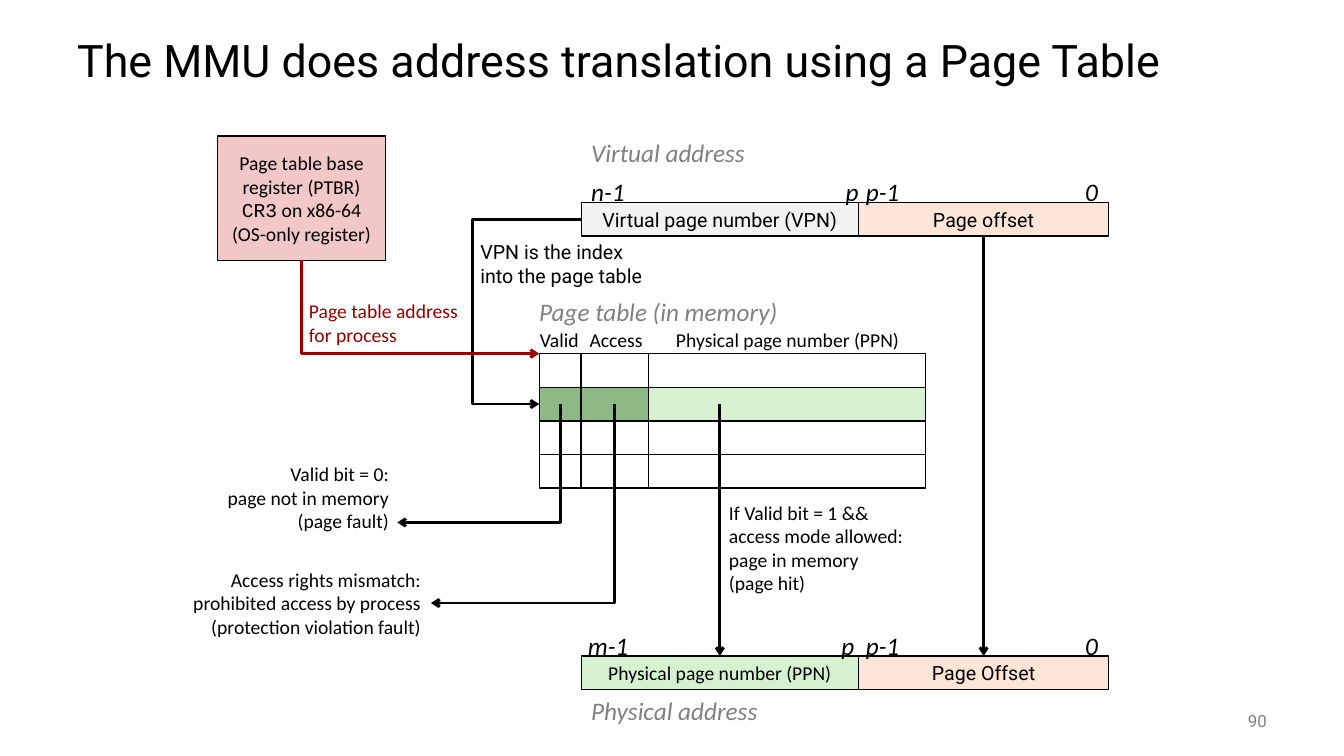
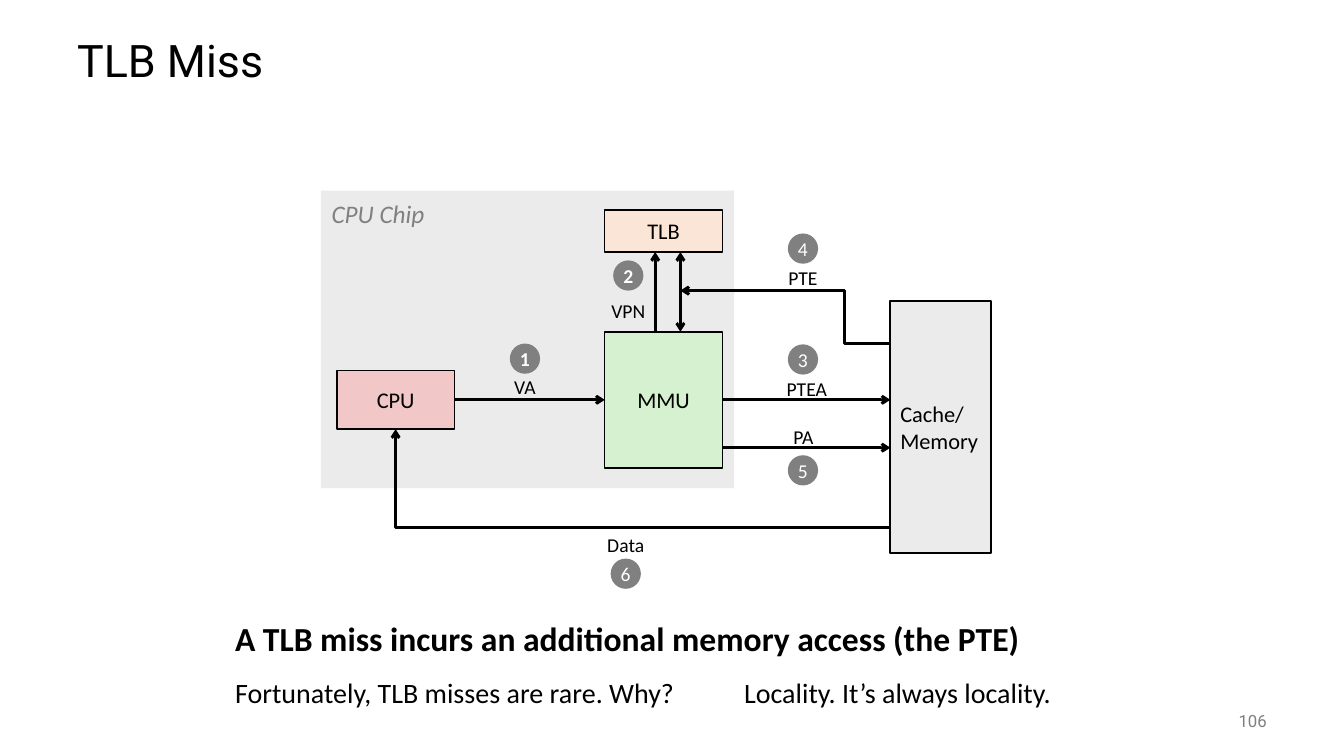
import pptx
import pptx.dml.color
import pptx.enum.shapes
import pptx.enum.text
import pptx.oxml.ns
import pptx.util

RGB = pptx.dml.color.RGBColor
BLACK = RGB(0x00, 0x00, 0x00)
WHITE = RGB(0xFF, 0xFF, 0xFF)
GRAY = RGB(0x80, 0x80, 0x80)
PALE = RGB(0xF2, 0xF2, 0xF2)
CHIP = RGB(0xEB, 0xEB, 0xEB)
PEACH = RGB(0xFB, 0xE5, 0xD6)
MINT = RGB(0xD5, 0xF1, 0xCF)
GREEN = RGB(0x8D, 0xBA, 0x84)
PINK = RGB(0xF1, 0xC7, 0xC7)
RED = RGB(0x99, 0x00, 0x00)

SANS, HEAD, CODE = "Calibri", "Roboto", "Courier New"
ALIGN = pptx.enum.text.PP_ALIGN
MID = pptx.enum.text.MSO_ANCHOR.MIDDLE
TOP = pptx.enum.text.MSO_ANCHOR.TOP
KIND = pptx.enum.shapes.MSO_SHAPE
WIRE = pptx.enum.shapes.MSO_CONNECTOR
# Sides of a rectangle, as connection sites
NORTH, WEST, SOUTH, EAST = range(4)

# The slide is a grid of 160 columns by 90 rows
COLS, ROWS = 160, 90


def grid(*counts):
    """Turn counts of grid cells into lengths."""
    return [pptx.util.Pt(6 * n) for n in counts]


def write(shape, text, size=14, font=SANS, color=BLACK, bold=False,
          italic=False, align=ALIGN.LEFT, anchor=TOP, wrap=False, space=None):
    """Fill a shape with lines; a line is a string or (text, font) pairs."""
    frame = shape.text_frame
    frame.word_wrap = wrap
    frame.vertical_anchor = anchor
    lines = text.split("\n") if isinstance(text, str) else text
    for i, line in enumerate(lines):
        para = frame.add_paragraph() if i else frame.paragraphs[0]
        para.alignment = align
        if space:
            para.line_spacing = space
        for part, face in [(line, font)] if isinstance(line, str) else line:
            run = para.add_run()
            run.text = part
            run.font.name = face
            run.font.size = pptx.util.Pt(size)
            run.font.bold = bold
            run.font.italic = italic
            run.font.color.rgb = color


def label(slide, at, text, **fmt):
    shape = slide.shapes.add_textbox(*grid(*at))
    write(shape, text, **fmt)
    if not fmt.get("wrap"):
        shape.text_frame.auto_size = pptx.enum.text.MSO_AUTO_SIZE.SHAPE_TO_FIT_TEXT
    return shape


def box(slide, at, fill=None, text=None, edge=1, kind=KIND.RECTANGLE, **fmt):
    shape = slide.shapes.add_shape(kind, *grid(*at))
    shape.shadow.inherit = False
    if fill is None:
        shape.fill.background()
    else:
        shape.fill.solid()
        shape.fill.fore_color.rgb = fill
    if edge:
        shape.line.color.rgb = BLACK
        shape.line.width = pptx.util.Pt(edge)
    else:
        shape.line.fill.background()
    if text:
        write(shape, text, **{"align": ALIGN.CENTER, "anchor": MID, **fmt})
    return shape


def wire(slide, start, end, kind=WIRE.STRAIGHT, color=BLACK, both=False,
         begin=None, stop=None):
    """Draw an arrow; begin and stop are (shape, side) to join."""
    line = slide.shapes.add_connector(kind, *grid(*start, *end))
    if begin:
        line.begin_connect(*begin)
    if stop:
        line.end_connect(*stop)
    line.line.color.rgb = color
    line.line.width = pptx.util.Pt(2)
    ln = line.get_or_add_ln()
    for tag in ["a:headEnd", "a:tailEnd"] if both else ["a:tailEnd"]:
        add(ln, tag, type="arrow")
    add(line._element.spPr, "a:effectLst")
    return line


def add(parent, tag, **attrs):
    node = pptx.oxml.parse_xml(
        f'<{tag} xmlns:a="http://schemas.openxmlformats.org/drawingml/2006/main"/>')
    for name, value in attrs.items():
        node.set(name, value)
    parent.append(node)


def bend(slide, start, end, turn=None, **fmt):
    """Go across, then up or down; turn is the share of the way of a double bend."""
    line = wire(slide, start, end, WIRE.ELBOW, **fmt)
    geom = line._element.spPr.find(pptx.oxml.ns.qn("a:prstGeom"))
    if turn is None:
        geom.set("prst", "bentConnector2")
    else:
        add(geom.find(pptx.oxml.ns.qn("a:avLst")), "a:gd", name="adj1",
            fmla=f"val {round(turn * 100000)}")
    return line


def drop(slide, start, end, **fmt):
    """Go down, then across: a bend that is turned on its side."""
    line = bend(slide, start, end, **fmt)
    (x1, y1), (x2, y2) = start, end
    wide, high = y2 - y1, abs(x2 - x1)
    line.left, line.top, line.width, line.height = grid(
        (x1 + x2 - wide) / 2, (y1 + y2 - high) / 2, wide, high)
    right = x2 > x1
    xfrm = line._element.spPr.find(pptx.oxml.ns.qn("a:xfrm"))
    xfrm.set("rot", str((270 if right else 90) * 60000))
    xfrm.set("flipH", "1" if right else "0")
    xfrm.set("flipV", "0")


def page(deck, title, number):
    slide = deck.slides.add_slide(deck.slide_layouts[6])
    label(slide, (8, 3, 144, 9), title, size=32, font=HEAD, anchor=MID,
          wrap=True, space=0.9)
    label(slide, (140, 83.4, 12, 4.8), number, size=12, font=HEAD, color=GRAY,
          align=ALIGN.RIGHT, anchor=MID, wrap=True)
    return slide


def note(slide, at, text):
    label(slide, at, text, size=18, color=GRAY, italic=True)


def table_page(deck):
    slide = page(deck, "The MMU does address translation using a Page Table", "90")
    left, mid, wide, rest, row = 69.2, 102.2, 33, 29.8, 4

    # Virtual and physical address bars
    vpn = box(slide, (left, 24.1, wide, row), PALE, "Virtual page number (VPN)", font=HEAD)
    off = box(slide, (mid, 24.1, rest, row), PEACH, "Page offset", font=HEAD)
    ppn = box(slide, (left, 78.1, wide, row), MINT, "Physical page number (PPN)")
    out = box(slide, (mid, 78.1, rest, row), PEACH, "Page Offset", font=HEAD)
    note(slide, (left, 15.8, 21.4, 4.8), "Virtual address")
    note(slide, (left, 82.2, 22.9, 4.8), "Physical address")
    for y, bits in [
        (20.4, [("n-1", left, 6.5), ("p", 99.5, 4.1)]),
        (74.5, [("m-1", 68.8, 7.3), ("p", 99, 4.1)]),
    ]:
        for text, x, w in bits + [("p-1", 101.9, 6.5), ("0", 128, 4)]:
            label(slide, (x, y, w, 4.8), text, size=18, italic=True)

    # Page table, with its second row in use
    note(slide, (63, 34.7, 36.6, 4.8), "Page table (in memory)")
    for text, x, w in [("Valid", 63.1, 7.3), ("Access", 69, 8.8),
                       ("Physical page number (PPN)", 79.3, 29.8)]:
        label(slide, (x, 38.5, w, 4.1), text)
    cells = {}
    for x, w, fill in [(left - 5, 5, GREEN), (left + 8, wide, MINT), (left, 8, GREEN)]:
        for i in range(4):
            cells[x, i] = box(slide, (x, 42.1 + i * row, w, row),
                              fill if i == 1 else None)

    # Base register
    base = box(slide, (25.9, 16.2, 20, 14.8), PINK,
               ["Page table base register (PTBR)",
                [("CR3", CODE), (" on x86-64", SANS)],
                "(OS-only register)"], wrap=True)

    # Texts beside the arrows
    label(slide, (35.6, 35, 20.8, 6.8), "Page table address\nfor process", color=RED)
    label(slide, (56, 28, 22.8, 6.8), "VPN is the index\ninto the page table", font=HEAD)
    label(slide, (85.6, 59, 23.3, 12.5),
          "If Valid bit = 1 &&\naccess mode allowed:\npage in memory\n(page hit)")
    label(slide, (25.4, 54.4, 22.1, 9.7),
          "Valid bit = 0:\npage not in memory\n(page fault)", align=ALIGN.RIGHT)
    deny = label(slide, (21, 67, 30.3, 9.7),
                 "Access rights mismatch:\nprohibited access by process\n"
                 "(protection violation fault)", align=ALIGN.RIGHT)

    # Arrows
    bend(slide, (left, 26.1), (left - 5, 48.1), turn=2.58,
         begin=(vpn, WEST), stop=(cells[left - 5, 1], WEST))
    wire(slide, (117.1, 28.1), (117.1, 78.1), begin=(off, SOUTH), stop=(out, NORTH))
    wire(slide, (85.7, 48.1), (85.7, 78.1), stop=(ppn, NORTH))
    drop(slide, (66.7, 48.1), (47.3, 62.2))
    drop(slide, (73.2, 48.1), (51.3, 71.8), stop=(deny, EAST))
    drop(slide, (35.9, 31), (left - 5, 42.1), color=RED, begin=(base, SOUTH))


def miss_page(deck):
    slide = page(deck, "TLB Miss", "106")

    # Chip and its parts
    box(slide, (38.2, 22.7, 49.2, 35.4), CHIP, edge=0)
    note(slide, (38.3, 23, 13.9, 4.8), "CPU Chip")
    mmu = box(slide, (72, 39.5, 14, 16.2), MINT, "MMU", size=16)
    cpu = box(slide, (40.1, 44.1, 14, 7), PINK, "CPU", size=16)
    box(slide, (72, 25, 14, 5), PEACH, "TLB", size=16)
    box(slide, (106, 35.8, 12, 30), CHIP, "Cache/\nMemory", edge=1.5, size=16,
        align=ALIGN.LEFT)

    # Arrows
    wire(slide, (54.1, 47.6), (72, 47.6), begin=(cpu, EAST), stop=(mmu, WEST))
    wire(slide, (86, 47.6), (106, 47.6), begin=(mmu, EAST))
    wire(slide, (86, 53.3), (106, 53.3))
    wire(slide, (78, 39.5), (78, 30))
    wire(slide, (81, 30), (81, 39.5), both=True)
    bend(slide, (106, 40.9), (81, 34.6), turn=0.22)
    bend(slide, (106, 62.8), (47.1, 51.1), stop=(cpu, SOUTH))

    # Numbered steps: disc, then label
    steps = [
        (60.7, 40.9, "VA", 60, 44, 5),
        (73, 31, "VPN", 71.5, 35, 6.6),
        (93.8, 41, "PTEA", 92.4, 44.3, 7.3),
        (93.8, 27.8, "PTE", 92.6, 31, 6),
        (93.8, 54.2, "PA", 93.2, 50, 4.9),
        (72.7, 66.5, "Data", 71, 62.8, 7),
    ]
    for n, (x, y, text, lx, ly, w) in enumerate(steps, 1):
        box(slide, (x, y, 3.6, 3.6), GRAY, str(n), edge=0, kind=KIND.OVAL,
            color=WHITE, bold=n < 3)
        label(slide, (lx, ly, w, 4), text, align=ALIGN.CENTER, anchor=MID)

    # Closing words
    label(slide, (26.8, 73, 101.2, 6), size=24, bold=True, wrap=True,
          text="A TLB miss incurs an additional memory access (the PTE)")
    label(slide, (26.8, 79.8, 55.8, 5.3), "Fortunately, TLB misses are rare. Why?", size=20)
    label(slide, (87.4, 79.8, 39.4, 5.3), "Locality. It’s always locality.", size=20)


def main():
    deck = pptx.Presentation()
    deck.slide_width, deck.slide_height = grid(COLS, ROWS)
    table_page(deck)
    miss_page(deck)
    deck.save("out.pptx")


if __name__ == "__main__":
    main()
